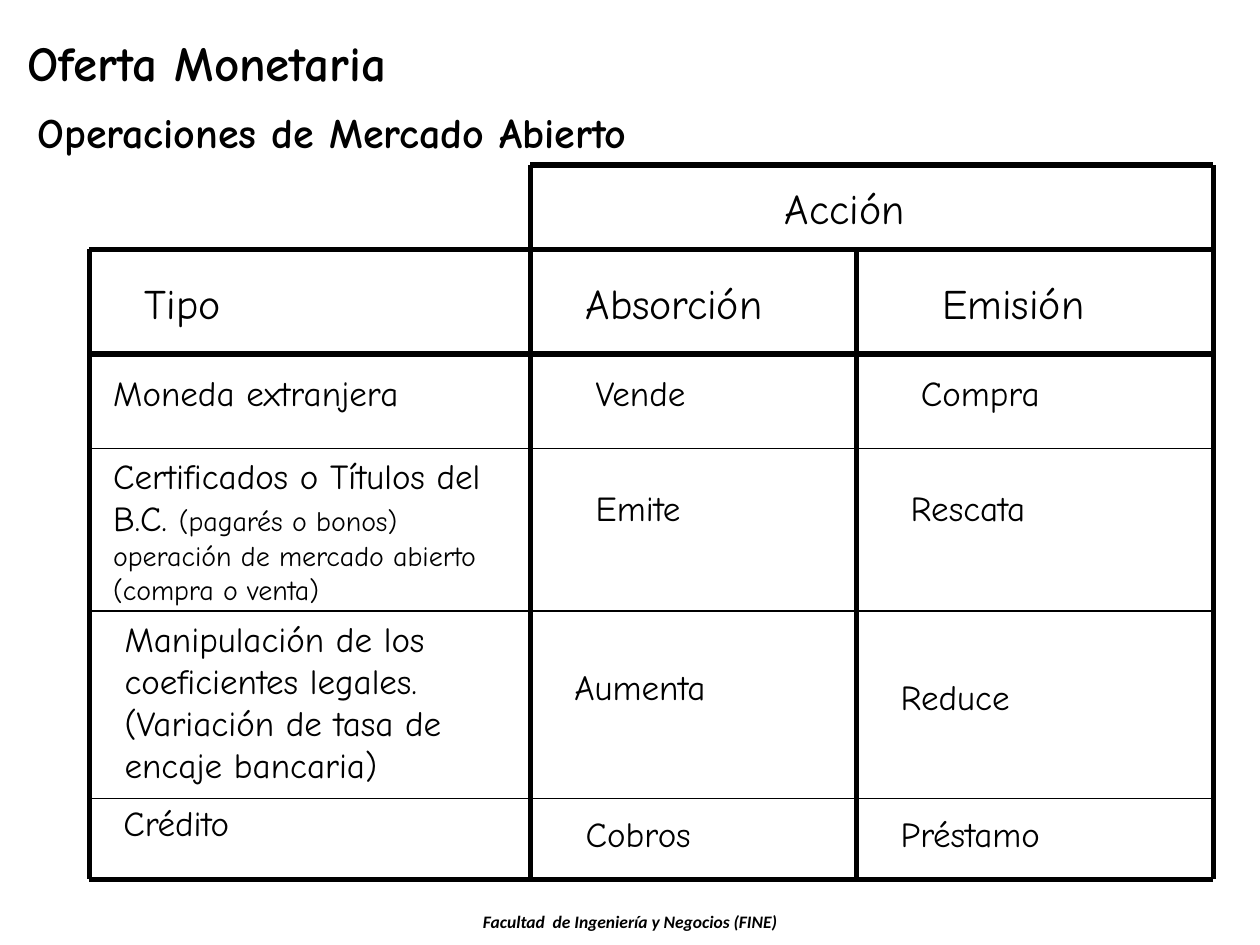
from pptx import Presentation
from pptx.dml.color import RGBColor
from pptx.enum.shapes import MSO_CONNECTOR
from pptx.enum.text import MSO_ANCHOR, MSO_AUTO_SIZE, PP_ALIGN
from pptx.oxml.ns import qn
from pptx.util import Inches, Pt
from lxml.etree import SubElement

# Content: text, then left, top, width, height in inches
TITLE = ("Oferta Monetaria", (0.12, 0.21, 6.83, 0.57))
SUBTITLE = ("Operaciones de Mercado Abierto", (0.2, 0.8, 9.08, 0.5))
FOOTER = ("Facultad  de Ingeniería y Negocios (FINE)", (2.56, 7.18, 4.88, 0.27))

# Headings: text, left, top
HEADINGS = [
    ("Acción", 6.13, 1.4),
    ("Tipo", 1.05, 2.15),
    ("Absorción", 4.55, 2.15),
    ("Emisión", 7.38, 2.15),
]

# Instruments: text, small print, box
TYPES = [
    ("Moneda extranjera", "", (0.8, 2.9, 3.5, 0.43)),
    ("Certificados o Títulos del B.C. ",
     "(pagarés o bonos) operación de mercado abierto (compra o venta)",
     (0.8, 3.56, 3.4, 1.3)),
    ("Manipulación de los coeficientes legales. "
     "(Variación de tasa de encaje bancaria)", "", (0.89, 4.85, 2.92, 1.43)),
    ("Crédito", "", (0.88, 6.31, 2.92, 0.43)),
]

# Actions: text, left, top
ACTIONS = [
    ("Vende", 4.63, 2.9), ("Compra", 7.21, 2.9),
    ("Emite", 4.63, 3.81), ("Rescata", 7.13, 3.81),
    ("Aumenta", 4.46, 5.23), ("Reduce", 7.05, 5.31),
    ("Cobros", 4.55, 6.4), ("Préstamo", 7.05, 6.4),
]

# Grid edges
LEFT, ACTION, EMISSION, RIGHT = 0.71, 4.21, 6.8, 9.63
TOP, HEAD, BODY, BOTTOM = 1.31, 1.98, 2.81, 6.98
ROW_RULES = [(3.56, 0), (4.85, 0.02), (6.34, 0.02)]  # height, shift right

THEME = {
    "font": "Comic Neue", "footer_font": "Calibri",
    "ink": RGBColor(0, 0, 0), "paper": RGBColor(255, 255, 255),
    "title": 28, "heading": 24, "text": 20, "small": 16, "footer": 10,
    "thick": 3, "thin": 0.75,
}


def style(r, size, font=THEME["font"], bold=False, italic=False):
    f = r.font
    f.name, f.size, f.bold, f.italic = font, Pt(size), bold, italic
    f.color.rgb = THEME["ink"]


def fill_text(sp, text, size, align=PP_ALIGN.LEFT, **look):
    tf = sp.text_frame
    tf.text = text
    tf.word_wrap = True
    tf.auto_size = MSO_AUTO_SIZE.NONE
    tf.vertical_anchor = MSO_ANCHOR.TOP
    p = tf.paragraphs[0]
    p.alignment = align
    style(p.runs[0], size, **look)
    return p


def add_text(s, text, box, size, **look):
    sp = s.shapes.add_textbox(*map(Inches, box))
    return fill_text(sp, text, size, **look)


def add_rule(s, x1, y1, x2, y2, width=THEME["thick"]):
    line = s.shapes.add_connector(
        MSO_CONNECTOR.STRAIGHT, *map(Inches, (x1, y1, x2, y2)))
    line.line.color.rgb = THEME["ink"]
    line.line.width = Pt(width)
    SubElement(line._element.spPr, qn("a:effectLst"))


def main():
    prs = Presentation()
    prs.slide_width, prs.slide_height = Inches(10), Inches(7.5)
    s = prs.slides.add_slide(prs.slide_layouts[5])
    s.background.fill.solid()
    s.background.fill.fore_color.rgb = THEME["paper"]

    # Title, subtitle and footer
    text, box = TITLE
    title = s.shapes.title
    title.left, title.top, title.width, title.height = map(Inches, box)
    fill_text(title, text, THEME["title"], bold=True)
    add_text(s, *SUBTITLE, THEME["heading"], bold=True)
    add_text(s, *FOOTER, THEME["footer"], align=PP_ALIGN.CENTER,
             font=THEME["footer_font"], bold=True, italic=True)

    # Grid: thin row rules, then the heavy frame
    for y, shift in ROW_RULES:
        add_rule(s, LEFT + shift, y, RIGHT + shift, y, THEME["thin"])
    for x, y in [(ACTION, TOP), (LEFT, HEAD), (LEFT, BODY), (LEFT, BOTTOM)]:
        add_rule(s, x, y, RIGHT, y)
    for x, y in [(LEFT, HEAD), (ACTION, TOP), (EMISSION, HEAD), (RIGHT, TOP)]:
        add_rule(s, x, y, x, BOTTOM)

    # Cell texts
    for text, x, y in HEADINGS:
        add_text(s, text, (x, y, 2, 0.5), THEME["heading"])
    for text, x, y in ACTIONS:
        add_text(s, text, (x, y, 2, 0.43), THEME["text"])
    for text, small, box in TYPES:
        p = add_text(s, text, box, THEME["text"])
        if small:
            r = p.add_run()
            r.text = small
            style(r, THEME["small"])

    prs.save("out.pptx")


if __name__ == "__main__":
    main()
